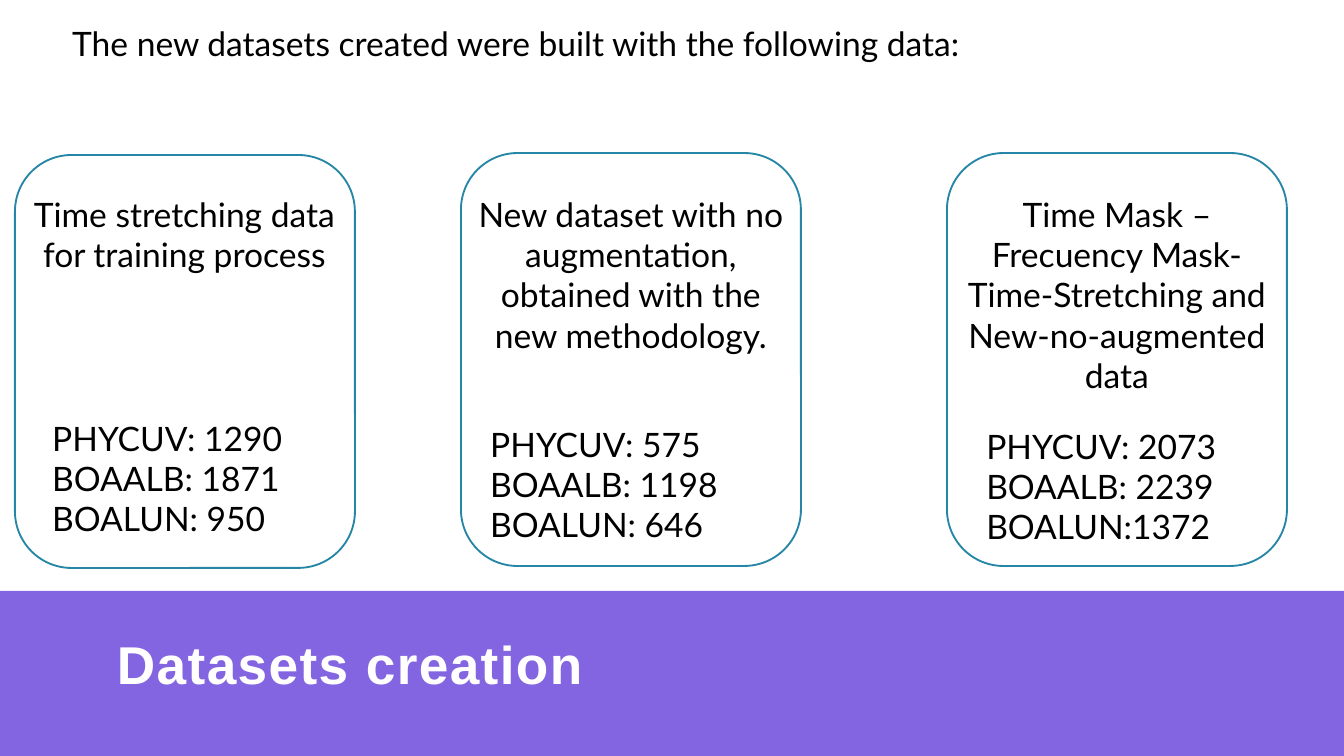
"""Build the slide that summarises the three new datasets."""
import pptx
import pptx.dml.color
import pptx.enum.shapes
import pptx.enum.text
import pptx.oxml
import pptx.oxml.ns
import pptx.util

EMU_PER_PX = 914400 / 134.4
PURPLE = pptx.dml.color.RGBColor(0x6F, 0x4B, 0xDC)
TEAL = pptx.dml.color.RGBColor(0x25, 0x86, 0xA5)
WHITE = pptx.dml.color.RGBColor(0xFF, 0xFF, 0xFF)
BLACK = pptx.dml.color.RGBColor(0, 0, 0)
LEFT = pptx.enum.text.PP_ALIGN.LEFT
CENTER = pptx.enum.text.PP_ALIGN.CENTER

CARD_WIDTH, CARD_HEIGHT = 340, 413
DESCRIPTION_TOP = 187
COUNTS_WIDTH, COUNTS_HEIGHT = 261, 136

DATASETS = [
    {"card": (15, 155), "description": (1, 367, 95), "counts": (39, 411),
     "text": "Time stretching data for training process",
     "lines": ["PHYCUV: 1290", "BOAALB: 1871", "BOALUN: 950"]},
    {"card": (461, 153), "description": (461, 340, 176), "counts": (477, 417),
     "text": "New dataset with no augmentation, obtained with the new methodology.",
     "lines": ["PHYCUV: 575", "BOAALB: 1198", "BOALUN: 646"]},
    {"card": (947, 153), "description": (947, 340, 218), "counts": (973, 419),
     "text": "Time Mask – Frecuency Mask- Time-Stretching and New-no-augmented data",
     "lines": ["PHYCUV: 2073", "BOAALB: 2239", "BOALUN:1372"]},
]


def px(*lengths):
    return [pptx.util.Emu(round(length * EMU_PER_PX)) for length in lengths]


def write_text(shape, lines, *, font="Lato", size=18, color=BLACK, bold=False,
               align=LEFT, wrap=True, line_spacing=None, tracking=None):
    frame = shape.text_frame
    frame.text = "\n".join(lines)
    frame.word_wrap = wrap
    frame.vertical_anchor = pptx.enum.text.MSO_ANCHOR.TOP
    for paragraph in frame.paragraphs:
        paragraph.alignment = align
        paragraph.line_spacing = line_spacing
        for run in paragraph.runs:
            run.font.name = font
            run.font.size = pptx.util.Pt(size)
            run.font.bold = bold
            run.font.color.rgb = color
            if tracking is not None:
                run.font._element.set("spc", str(tracking))


def add_text(slide, box, lines, **text_format):
    shape = slide.shapes.add_textbox(*px(*box))
    write_text(shape, lines, **text_format)
    shape.text_frame.auto_size = pptx.enum.text.MSO_AUTO_SIZE.SHAPE_TO_FIT_TEXT


def add_card(slide, left, top):
    shape = slide.shapes.add_shape(
        pptx.enum.shapes.MSO_SHAPE.ROUNDED_RECTANGLE,
        *px(left, top, CARD_WIDTH, CARD_HEIGHT))
    shape.shadow.inherit = False
    shape.fill.background()
    shape.line.color.rgb = TEAL
    shape.line.width = pptx.util.Pt(1)


def set_opacity(shape, percent):
    color = shape.fill._xPr.find(".//" + pptx.oxml.ns.qn("a:srgbClr"))
    alpha = pptx.oxml.parse_xml(
        f'<a:alpha {pptx.oxml.ns.nsdecls("a")} val="{percent * 1000}"/>')
    color.append(alpha)


def format_title(slide, text):
    title = slide.shapes.title
    title.left, title.top, title.width, title.height = px(0, 591, 1344, 165)
    title.fill.solid()
    title.fill.fore_color.rgb = PURPLE
    set_opacity(title, 85)
    write_text(title, [text], font="Arial", size=28.5, color=WHITE, bold=True,
               line_spacing=0.85, tracking=80)
    frame = title.text_frame
    frame.auto_size = pptx.enum.text.MSO_AUTO_SIZE.NONE
    (frame.margin_left, frame.margin_top,
     frame.margin_right, frame.margin_bottom) = px(117, 50, 13, 7)


def main():
    presentation = pptx.Presentation()
    presentation.slide_width, presentation.slide_height = px(1344, 756)
    slide = presentation.slides.add_slide(presentation.slide_layouts[5])
    format_title(slide, "Datasets creation")
    add_text(slide, (59, 16, 960, 54),
             ["The new datasets created were built with the following data:"],
             wrap=False)
    for dataset in DATASETS:
        left, width, height = dataset["description"]
        add_text(slide, (left, DESCRIPTION_TOP, width, height),
                 [dataset["text"]], align=CENTER)
        add_text(slide, (*dataset["counts"], COUNTS_WIDTH, COUNTS_HEIGHT),
                 dataset["lines"], wrap=False)
        add_card(slide, *dataset["card"])
    presentation.save("out.pptx")


if __name__ == "__main__":
    main()
